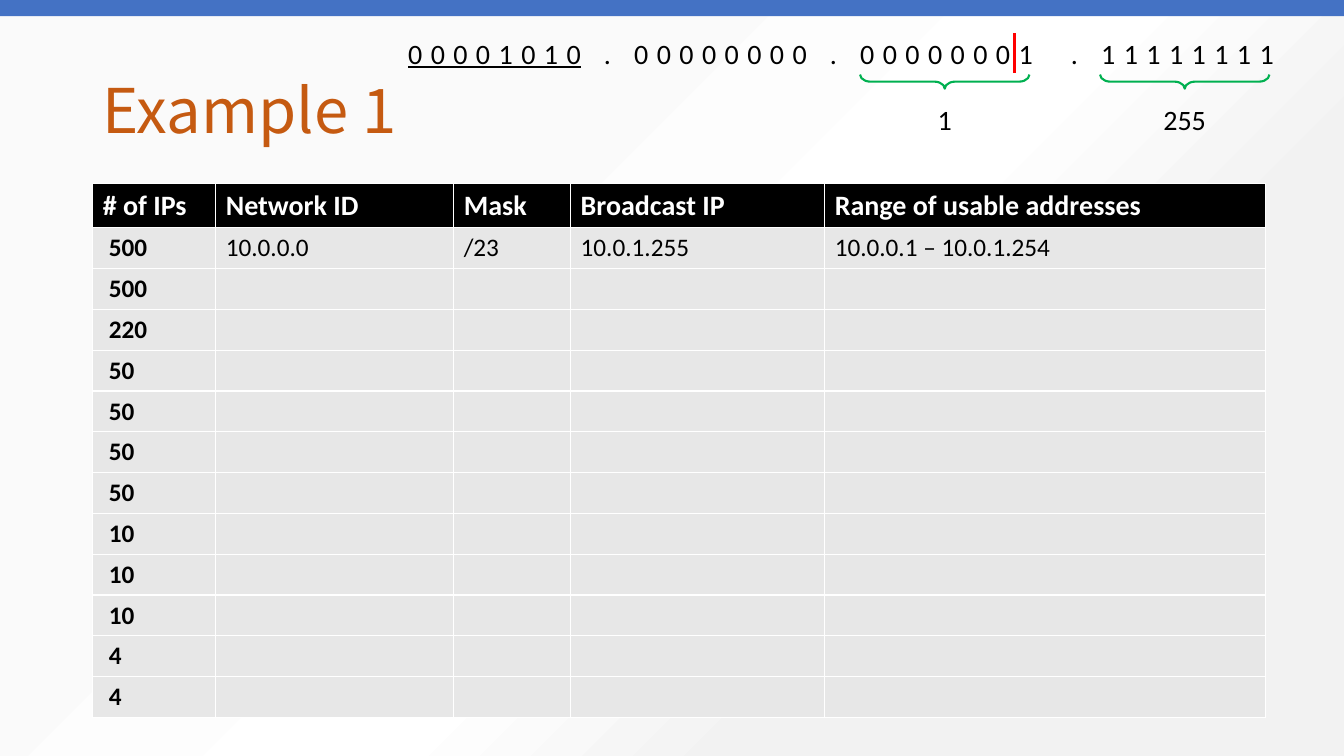
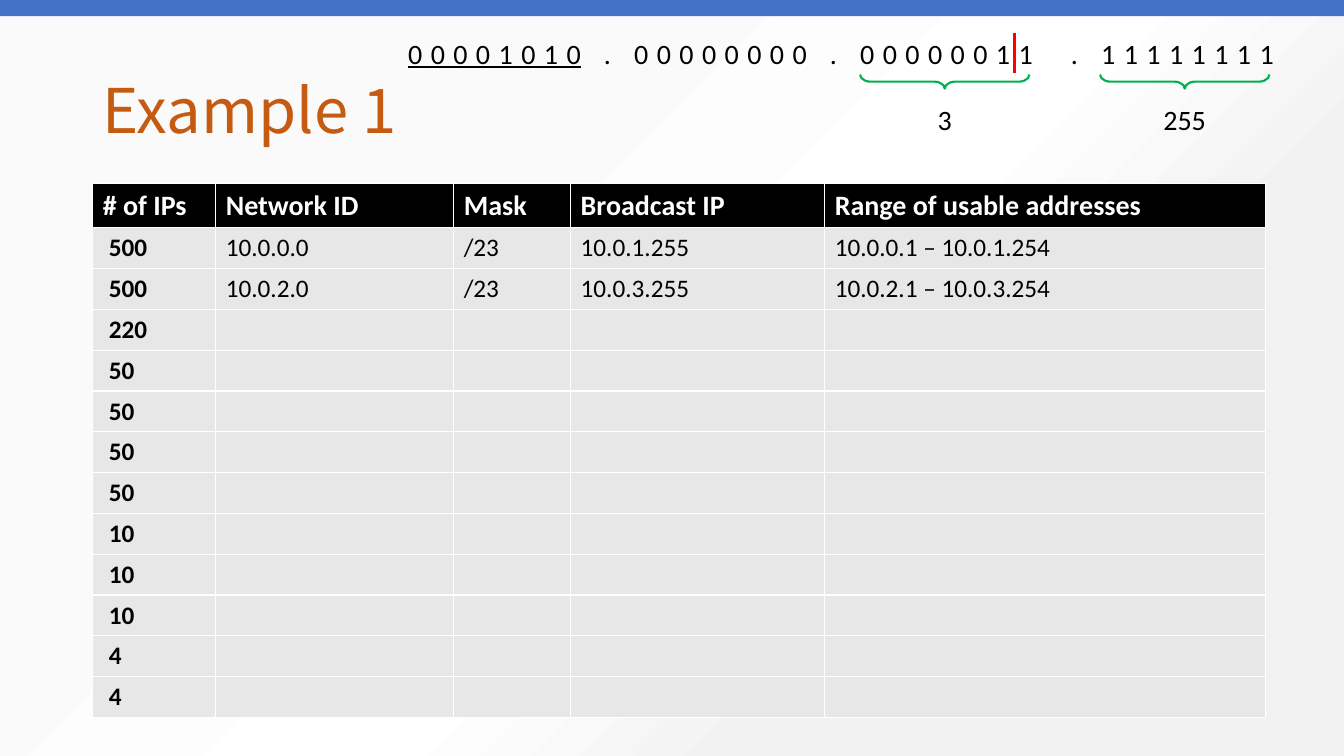
from dataclasses import dataclass

from lxml import etree
from pptx import Presentation
from pptx.dml.color import RGBColor
from pptx.enum.shapes import MSO_CONNECTOR, MSO_SHAPE
from pptx.enum.text import MSO_ANCHOR, PP_ALIGN
from pptx.oxml import parse_xml
from pptx.oxml.ns import nsdecls, qn
from pptx.util import Inches, Pt

RECTANGLE = MSO_SHAPE.RECTANGLE
RIGHT_BRACE = MSO_SHAPE.RIGHT_BRACE
STRAIGHT = MSO_CONNECTOR.STRAIGHT
MIDDLE = MSO_ANCHOR.MIDDLE
TOP = MSO_ANCHOR.TOP
LEFT = PP_ALIGN.LEFT
CENTER = PP_ALIGN.CENTER


@dataclass(frozen=True)
class Theme:
    title_font: str = "Noto Sans CJK SC"
    body_font: str = "Calibri"
    title_size: int = 44
    large_size: int = 20
    cell_size: int = 18
    title: str = "C55A11"
    band: str = "4472C4"
    ink: str = "000000"
    white: str = "FFFFFF"
    row: str = "E7E7E7"
    divider: str = "FF0000"
    brace: str = "00B050"
    background: tuple = (
        (29, "FAFAFA", 100),
        (54, "FFFFFF", 9),
        (71, "F2F2F2", 100),
        (87, "F2F2F2", 100),
    )


THEME = Theme()

TITLE = "Example 1"
HEADERS = ("# of IPs", "Network ID", "Mask", "Broadcast IP", "Range of usable addresses")
HOST_COUNTS = (500, 500, 220, 50, 50, 50, 50, 10, 10, 10, 4, 4)
SUBNETS = (
    ("10.0.0.0", "/23", "10.0.1.255", "10.0.0.1 – 10.0.1.254"),
    ("10.0.2.0", "/23", "10.0.3.255", "10.0.2.1 – 10.0.3.254"),
)
STEPS = (
    {"octets": ("00001010", "00000000", "00000001", "11111111"), "solved": 1},
    {"octets": ("00001010", "00000000", "00000011", "11111111"), "solved": 2},
)

SLIDE_WIDTH, SLIDE_HEIGHT = 13.33, 7.5
COLUMN_WIDTHS = (1.22, 2.36, 1.16, 2.52, 4.37)
TABLE_LEFT, TABLE_TOP, TABLE_HEIGHT = 0.92, 1.82, 5.3
HEADER_HEIGHT = 0.44
COUNT_MARGIN = 0.16
BIT_SPACING, WIDE_SPACING = 6, 16.5
BRACE_CENTERS = (9.37, 11.75)
BRACE_MIDDLE, BRACE_DEPTH, BRACE_SPAN = 0.81, 0.14, 1.68
LABEL_TOP, LABEL_WIDTH, LABEL_HEIGHT = 0.97, 0.63, 0.44


def rgb(color):
    return RGBColor.from_string(color)


def add_run(paragraph, text, size, color, font=THEME.body_font, bold=False,
            underline=False, spacing=0):
    run = paragraph.add_run()
    run.text = text
    run.font.name = font
    run.font.size = Pt(size)
    run.font.bold = bold
    run.font.underline = underline
    run.font.color.rgb = rgb(color)
    if spacing:
        run.font._element.set("spc", str(round(spacing * 100)))


def add_text_box(slide, left, top, width, height, align=LEFT, anchor=TOP):
    frame = slide.shapes.add_textbox(
        Inches(left), Inches(top), Inches(width), Inches(height)).text_frame
    frame.word_wrap = True
    frame.vertical_anchor = anchor
    paragraph = frame.paragraphs[0]
    paragraph.alignment = align
    return paragraph


def set_background(master):
    master.background.fill.solid()
    properties = master._element.find(".//" + qn("p:bgPr"))
    stops = "".join(
        f'<a:gs pos="{position * 1000}"><a:srgbClr val="{color}">'
        f'<a:alpha val="{alpha * 1000}"/></a:srgbClr></a:gs>'
        for position, color, alpha in THEME.background)
    gradient = parse_xml(
        f'<a:gradFill {nsdecls("a")} rotWithShape="1"><a:gsLst>{stops}</a:gsLst>'
        '<a:path path="circle"><a:fillToRect r="100000" b="100000"/></a:path></a:gradFill>')
    properties.replace(properties.find(qn("a:solidFill")), gradient)


def add_header(slide):
    title = add_text_box(slide, 0.92, 0.4, 11.5, 1.45, anchor=MIDDLE)
    title.line_spacing = 0.9
    add_run(title, TITLE, THEME.title_size, THEME.title, THEME.title_font)
    band = slide.shapes.add_shape(RECTANGLE, 0, 0, Inches(SLIDE_WIDTH), Inches(0.16))
    band.shadow.inherit = False
    band.fill.solid()
    band.fill.fore_color.rgb = rgb(THEME.band)
    band.line.fill.background()


def set_borders(cell):
    properties = cell._tc.get_or_add_tcPr()
    for side in ("a:lnL", "a:lnR", "a:lnT", "a:lnB"):
        border = etree.SubElement(properties, qn(side), w=str(Pt(1)))
        fill = etree.SubElement(border, qn("a:solidFill"))
        etree.SubElement(fill, qn("a:srgbClr"), val=THEME.white)


def add_subnet_table(slide, solved):
    blank = ("",) * len(SUBNETS[0])
    rows = [HEADERS]
    for index, count in enumerate(HOST_COUNTS):
        rows.append((str(count), *(SUBNETS[index] if index < solved else blank)))

    table = slide.shapes.add_table(
        len(rows), len(HEADERS), Inches(TABLE_LEFT), Inches(TABLE_TOP),
        Inches(sum(COLUMN_WIDTHS)), Inches(TABLE_HEIGHT)).table
    table.horz_banding = False
    for column, width in zip(table.columns, COLUMN_WIDTHS):
        column.width = Inches(width)
    body_height = (TABLE_HEIGHT - HEADER_HEIGHT) / len(HOST_COUNTS)

    for row_index, values in enumerate(rows):
        is_header = row_index == 0
        table.rows[row_index].height = Inches(HEADER_HEIGHT if is_header else body_height)
        for column_index, text in enumerate(values):
            cell = table.cell(row_index, column_index)
            is_count = column_index == 0 and not is_header
            if is_count:
                cell.margin_left = Inches(COUNT_MARGIN)
            cell.vertical_anchor = MIDDLE
            set_borders(cell)
            cell.fill.solid()
            cell.fill.fore_color.rgb = rgb(THEME.ink if is_header else THEME.row)
            if text:
                add_run(cell.text_frame.paragraphs[0], text,
                        THEME.large_size if is_header else THEME.cell_size,
                        THEME.white if is_header else THEME.ink,
                        bold=is_header or is_count)


def add_binary_address(slide, octets):
    first, second, third, fourth = octets
    address = add_text_box(slide, 3.95, 0.31, 8.87, 0.44)
    for text, underline, spacing in (
        (first, True, BIT_SPACING),
        (f" . {second} . {third}", False, BIT_SPACING),
        (" ", False, WIDE_SPACING),
        (f". {fourth}", False, BIT_SPACING),
    ):
        add_run(address, text, THEME.large_size, THEME.ink,
                underline=underline, spacing=spacing)

    divider = slide.shapes.add_connector(
        STRAIGHT, Inches(10.06), Inches(0.33), Inches(10.06), Inches(0.72))
    divider.line.color.rgb = rgb(THEME.divider)
    divider.line.width = Pt(2.5)
    etree.SubElement(divider._element.spPr, qn("a:effectLst"))

    for center, octet in zip(BRACE_CENTERS, (third, fourth)):
        brace = slide.shapes.add_shape(
            RIGHT_BRACE, Inches(center - BRACE_DEPTH / 2),
            Inches(BRACE_MIDDLE - BRACE_SPAN / 2), Inches(BRACE_DEPTH), Inches(BRACE_SPAN))
        brace.rotation = 90
        brace.adjustments[0] = 0.73
        brace.shadow.inherit = False
        brace.fill.background()
        brace.line.color.rgb = rgb(THEME.brace)
        brace.line.width = Pt(1.5)
        label = add_text_box(slide, center - LABEL_WIDTH / 2, LABEL_TOP,
                             LABEL_WIDTH, LABEL_HEIGHT, CENTER)
        add_run(label, str(int(octet, 2)), THEME.large_size, THEME.ink)


def main():
    deck = Presentation()
    deck.slide_width = Inches(SLIDE_WIDTH)
    deck.slide_height = Inches(SLIDE_HEIGHT)
    set_background(deck.slide_master)
    for step in STEPS:
        slide = deck.slides.add_slide(deck.slide_layouts[6])
        add_header(slide)
        add_subnet_table(slide, step["solved"])
        add_binary_address(slide, step["octets"])
    deck.save("out.pptx")


if __name__ == "__main__":
    main()
